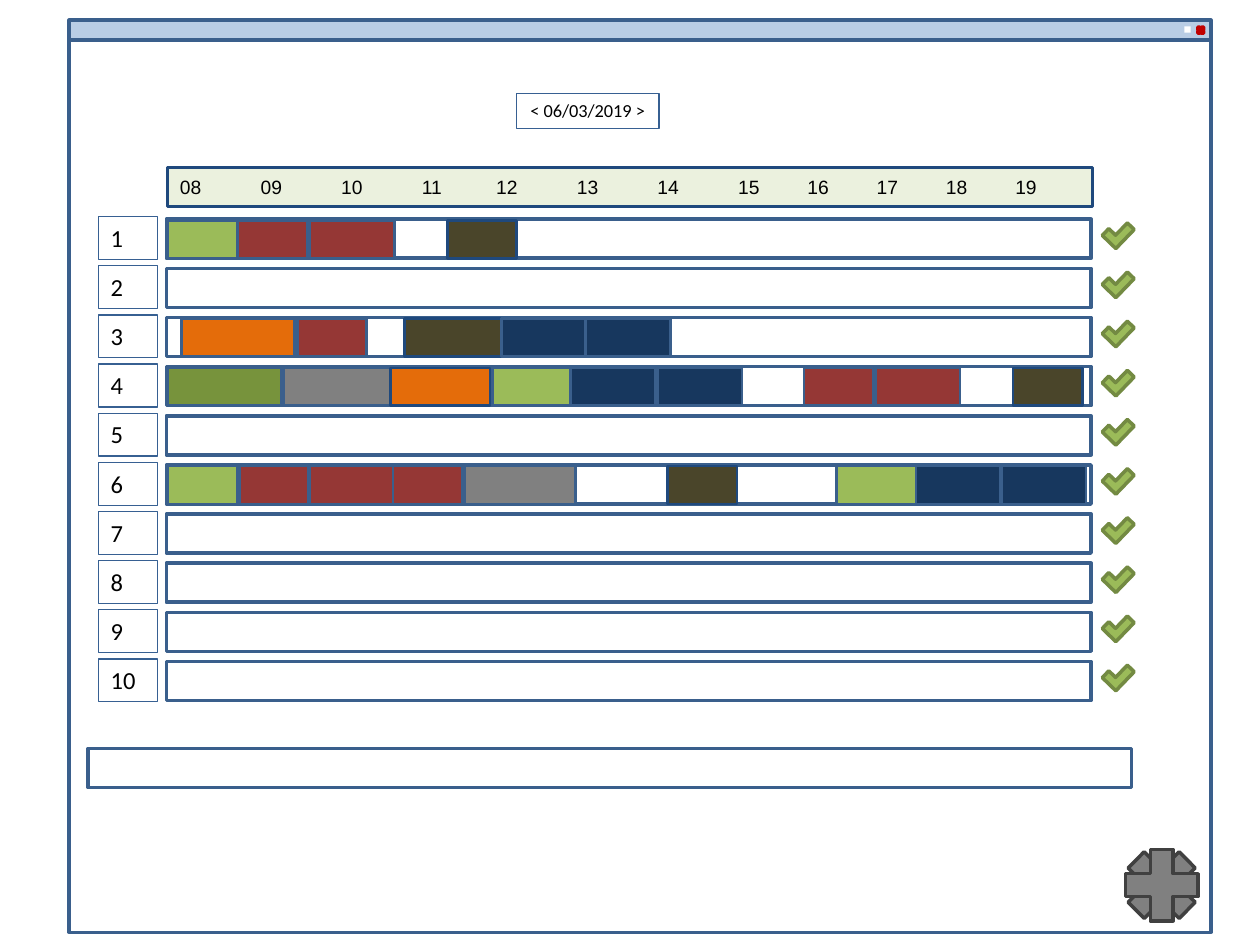
from itertools import accumulate

from lxml.etree import SubElement
from pptx import Presentation
from pptx.dml.color import RGBColor
from pptx.enum.shapes import MSO_SHAPE
from pptx.enum.text import MSO_ANCHOR, MSO_AUTO_SIZE, PP_ALIGN
from pptx.oxml.ns import qn
from pptx.util import Inches, Pt

BLACK = RGBColor(0x00, 0x00, 0x00)
WHITE = RGBColor(0xFF, 0xFF, 0xFF)
BLUE = RGBColor(0x3A, 0x5F, 0x8C)
NAVY = RGBColor(0x1F, 0x49, 0x7D)
LABEL_BLUE = RGBColor(0x37, 0x60, 0x92)
PALE_BLUE = RGBColor(0xB9, 0xCD, 0xE5)
DARK_BLUE = RGBColor(0x17, 0x37, 0x5E)
PALE_GREEN = RGBColor(0xEB, 0xF1, 0xDE)
GREEN = RGBColor(0x9B, 0xBB, 0x59)
OLIVE = RGBColor(0x77, 0x93, 0x3C)
CHECK_LINE = RGBColor(0x73, 0x8A, 0x42)
MAROON = RGBColor(0x95, 0x37, 0x35)
BROWN = RGBColor(0x4A, 0x45, 0x2A)
ORANGE = RGBColor(0xE4, 0x6C, 0x0A)
GRAY = RGBColor(0x80, 0x80, 0x80)
DARK_GRAY = RGBColor(0x40, 0x40, 0x40)
RED = RGBColor(0xC0, 0x00, 0x00)

ROW_COUNT = 10
ROW_TOP = 1.74
ROW_PITCH = 0.39
TRACK_WIDTH = 7.34
TRACK_HEIGHT = 0.31
HOURS = [f"{hour:02d}" for hour in range(8, 20)]
HOUR_STEPS = [0.64] * 3 + [0.59] + [0.64] * 3 + [0.55] * 4

BOOKINGS = {
    1: [(1.33, 0.55, GREEN), (1.89, 0.55, MAROON), (2.46, 0.67, MAROON),
        (3.55, 0.55, BROWN)],
    3: [(1.44, 0.9, ORANGE), (2.36, 0.55, MAROON), (3.21, 0.79, BROWN),
        (3.98, 0.67, DARK_BLUE), (4.65, 0.67, DARK_BLUE)],
    4: [(1.33, 0.9, OLIVE), (2.25, 0.88, GRAY), (3.1, 0.79, ORANGE),
        (3.91, 0.63, GREEN), (4.53, 0.67, DARK_BLUE), (5.22, 0.67, DARK_BLUE),
        (6.38, 0.55, MAROON), (6.95, 0.67, MAROON), (8.04, 0.55, BROWN)],
    6: [(1.33, 0.55, GREEN), (1.9, 0.55, MAROON), (2.46, 0.67, MAROON),
        (3.12, 0.55, MAROON), (3.69, 0.88, GRAY), (5.3, 0.55, BROWN),
        (6.64, 0.63, GREEN), (7.27, 0.67, DARK_BLUE), (7.95, 0.67, DARK_BLUE)],
}


def add_box(slide, left, top, width, height, fill=None, line=BLUE,
            weight=2, kind=MSO_SHAPE.RECTANGLE):
    shape = slide.shapes.add_shape(
        kind, Inches(left), Inches(top), Inches(width), Inches(height))
    shape.shadow.inherit = False
    if fill is None:
        shape.fill.background()
    else:
        shape.fill.solid()
        shape.fill.fore_color.rgb = fill
    if line is None:
        shape.line.fill.background()
    else:
        shape.line.color.rgb = line
        shape.line.width = Pt(weight)
    return shape


def write_text(shape, text, size, font, alignment=PP_ALIGN.LEFT):
    shape.text_frame.text = text
    paragraph = shape.text_frame.paragraphs[0]
    paragraph.alignment = alignment
    paragraph.font.size = Pt(size)
    paragraph.font.name = font
    paragraph.font.color.rgb = BLACK
    return paragraph


def add_label(slide, left, top, width, height, text, size,
              alignment=PP_ALIGN.LEFT, wrap=True):
    shape = slide.shapes.add_textbox(
        Inches(left), Inches(top), Inches(width), Inches(height))
    shape.line.color.rgb = LABEL_BLUE
    shape.line.width = Pt(0.75)
    shape.text_frame.word_wrap = wrap
    shape.text_frame.auto_size = MSO_AUTO_SIZE.SHAPE_TO_FIT_TEXT
    write_text(shape, text, size, "Calibri", alignment)


def add_hour_header(slide):
    header = add_box(slide, 1.33, 1.33, TRACK_WIDTH, TRACK_HEIGHT, PALE_GREEN, NAVY)
    header.text_frame.vertical_anchor = MSO_ANCHOR.MIDDLE
    paragraph = write_text(header, "\t".join(HOURS), 11, "Arial")
    properties = paragraph._p.get_or_add_pPr()
    tab_list = properties.makeelement(qn("a:tabLst"), {})
    properties.insert(0, tab_list)
    for position in accumulate(HOUR_STEPS):
        SubElement(tab_list, qn("a:tab"), pos=str(Inches(position)), algn="l")


def add_room_row(slide, number):
    top = ROW_TOP + (number - 1) * ROW_PITCH
    add_box(slide, 1.32, top, TRACK_WIDTH, TRACK_HEIGHT, WHITE)
    add_label(slide, 0.78, top - 0.02, 0.47, 0.34, str(number), 14)
    check = add_box(slide, 8.77, top + 0.03, 0.21, 0.15, GREEN, CHECK_LINE,
                    kind=MSO_SHAPE.CORNER)
    check.rotation = 314
    for left, width, color in BOOKINGS.get(number, []):
        outline = NAVY if color == BROWN or (number, color) == (4, ORANGE) else BLUE
        add_box(slide, left, top + 0.01, width, 0.3, color, outline, 1.5)


def add_settings_icon(slide):
    for kind in (MSO_SHAPE.MATH_MULTIPLY, MSO_SHAPE.MATH_PLUS):
        add_box(slide, 8.83, 6.64, 0.78, 0.77, GRAY, DARK_GRAY, kind=kind)


def add_window(slide):
    add_box(slide, 0.55, 0.29, 9.06, 7.11)
    add_box(slide, 0.55, 0.16, 9.06, 0.16, PALE_BLUE)
    add_box(slide, 9.49, 0.2, 0.08, 0.08, RED, RED, kind=MSO_SHAPE.MATH_MULTIPLY)
    add_box(slide, 9.4, 0.21, 0.05, 0.05, WHITE, None)


def main():
    presentation = Presentation()
    presentation.slide_width = Inches(10)
    presentation.slide_height = Inches(7.5)
    slide = presentation.slides.add_slide(presentation.slide_layouts[6])
    add_hour_header(slide)
    add_label(slide, 4.1, 0.74, 1.13, 0.28, "< 06/03/2019 >", 10.5,
              PP_ALIGN.CENTER, wrap=False)
    for number in range(1, ROW_COUNT + 1):
        add_room_row(slide, number)
    add_box(slide, 0.7, 5.94, 8.28, TRACK_HEIGHT, WHITE)
    add_settings_icon(slide)
    add_window(slide)
    presentation.save("out.pptx")


main()
